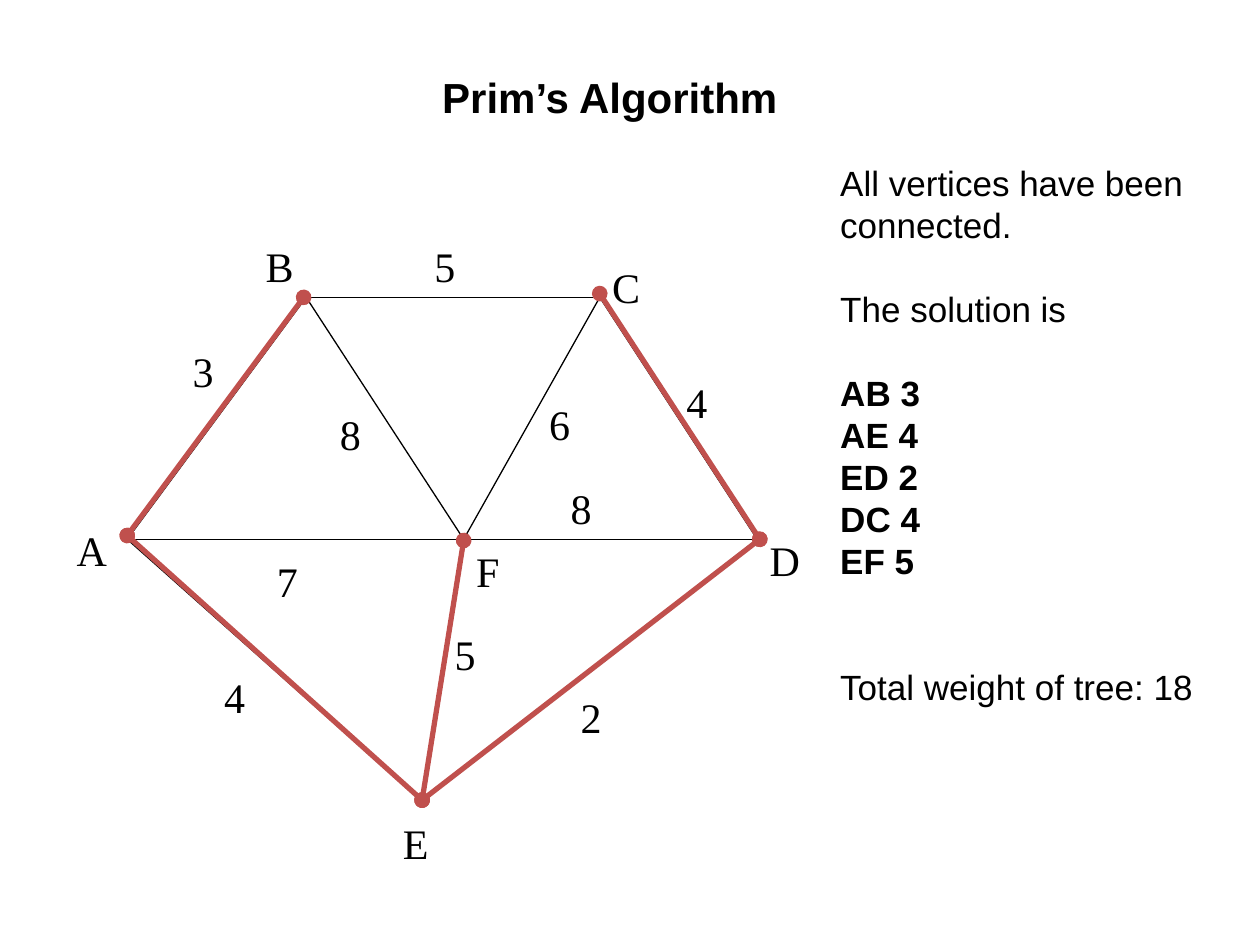
import pptx
import pptx.util
import pptx.dml.color
import pptx.enum.shapes
import pptx.enum.text
import pptx.oxml.ns
import lxml.etree

Inches = pptx.util.Inches
Pt = pptx.util.Pt

# Content
TITLE = "Prim’s Algorithm"
GRAPH_POINTS = {"A": (1.01, 4.28), "B": (2.43, 2.36), "C": (4.76, 2.36),
                "D": (6.01, 4.28), "E": (3.35, 6.36), "F": (3.68, 4.28)}
GRAPH_EDGES = ["AB", "BC", "CD", "AF", "FD", "BF", "FC", "AE", "EF", "ED"]
TREE_POINTS = {"A": (1.01, 4.25), "B": (2.41, 2.36), "C": (4.76, 2.33),
               "D": (6.03, 4.28), "E": (3.35, 6.35), "F": (3.68, 4.29)}
TREE_EDGES = ["AB", "AE", "ED", "DC", "EF"]
LABELS = [  # text, left, top
    ("A", 0.51, 4.11), ("F", 3.68, 4.28), ("B", 2.01, 1.86),
    ("C", 4.76, 2.03), ("D", 6.01, 4.19), ("E", 3.1, 6.44),
    ("2", 4.51, 5.44), ("7", 2.1, 4.36), ("4", 1.68, 5.28),
    ("5", 3.51, 4.94), ("8", 2.6, 3.19), ("6", 4.26, 3.11),
    ("4", 5.35, 2.94), ("5", 3.35, 1.86), ("3", 1.43, 2.69),
    ("8", 4.43, 3.78)]
SOLUTION = [  # text, bold, empty lines above
    ("All vertices have been", False, 0), ("connected.", False, 0),
    ("The solution is", False, 1),
    ("AB 3", True, 1), ("AE 4", True, 0), ("ED 2", True, 0),
    ("DC 4", True, 0), ("EF 5", True, 0),
    ("Total weight of tree: 18", False, 2)]
LINE_PITCH = 24
BLACK, RED = "000000", "C0504D"


def color(value):
    return pptx.dml.color.RGBColor.from_string(value)


def add_text(page, lines, left, top, width, height, font, size, bold=False):
    box = page.shapes.add_textbox(*map(Inches, (left, top, width, height)))
    box.text_frame.word_wrap = True
    box.text_frame.text = "\n".join(lines)
    for para in box.text_frame.paragraphs:
        for span in para.runs:
            span.font.name = font
            span.font.size = Pt(size)
            span.font.bold = bold
            span.font.color.rgb = color(BLACK)
    return box


def add_edge(page, start, end, line_color, width, dots=False):
    edge = page.shapes.add_connector(
        pptx.enum.shapes.MSO_CONNECTOR.STRAIGHT, *map(Inches, start + end))
    edge.line.color.rgb = color(line_color)
    edge.line.width = Pt(width)
    properties = edge._element.spPr
    if dots:
        line = properties.find(pptx.oxml.ns.qn("a:ln"))
        for tag in ("a:headEnd", "a:tailEnd"):
            lxml.etree.SubElement(line, pptx.oxml.ns.qn(tag), type="oval")
    lxml.etree.SubElement(properties, pptx.oxml.ns.qn("a:effectLst"))


deck = pptx.Presentation()
deck.slide_width, deck.slide_height = Inches(10), Inches(7.5)
page = deck.slides.add_slide(deck.slide_layouts[6])

# Title
title = add_text(page, [TITLE], 0.9, 0.52, 7.88, 0.5, "Arial", 24, True)
title.text_frame.paragraphs[0].alignment = pptx.enum.text.PP_ALIGN.CENTER

# Weighted graph
for start, end in GRAPH_EDGES:
    add_edge(page, GRAPH_POINTS[start], GRAPH_POINTS[end], BLACK, 0.75)
for text, left, top in LABELS:
    add_text(page, [text], left, top, 0.5, 0.5, "Times New Roman", 24)

# Solution list
solution = add_text(page, [text for text, _, _ in SOLUTION],
                    6.57, 1.23, 3.15, 4.81, "Arial", 20)
for para, (_, bold, gap) in zip(solution.text_frame.paragraphs, SOLUTION):
    para.line_spacing = Pt(LINE_PITCH)
    para.space_before = Pt(gap * LINE_PITCH)
    para.runs[0].font.bold = bold

# Minimum spanning tree
for start, end in TREE_EDGES:
    add_edge(page, TREE_POINTS[start], TREE_POINTS[end], RED, 3, dots=True)

deck.save("out.pptx")
